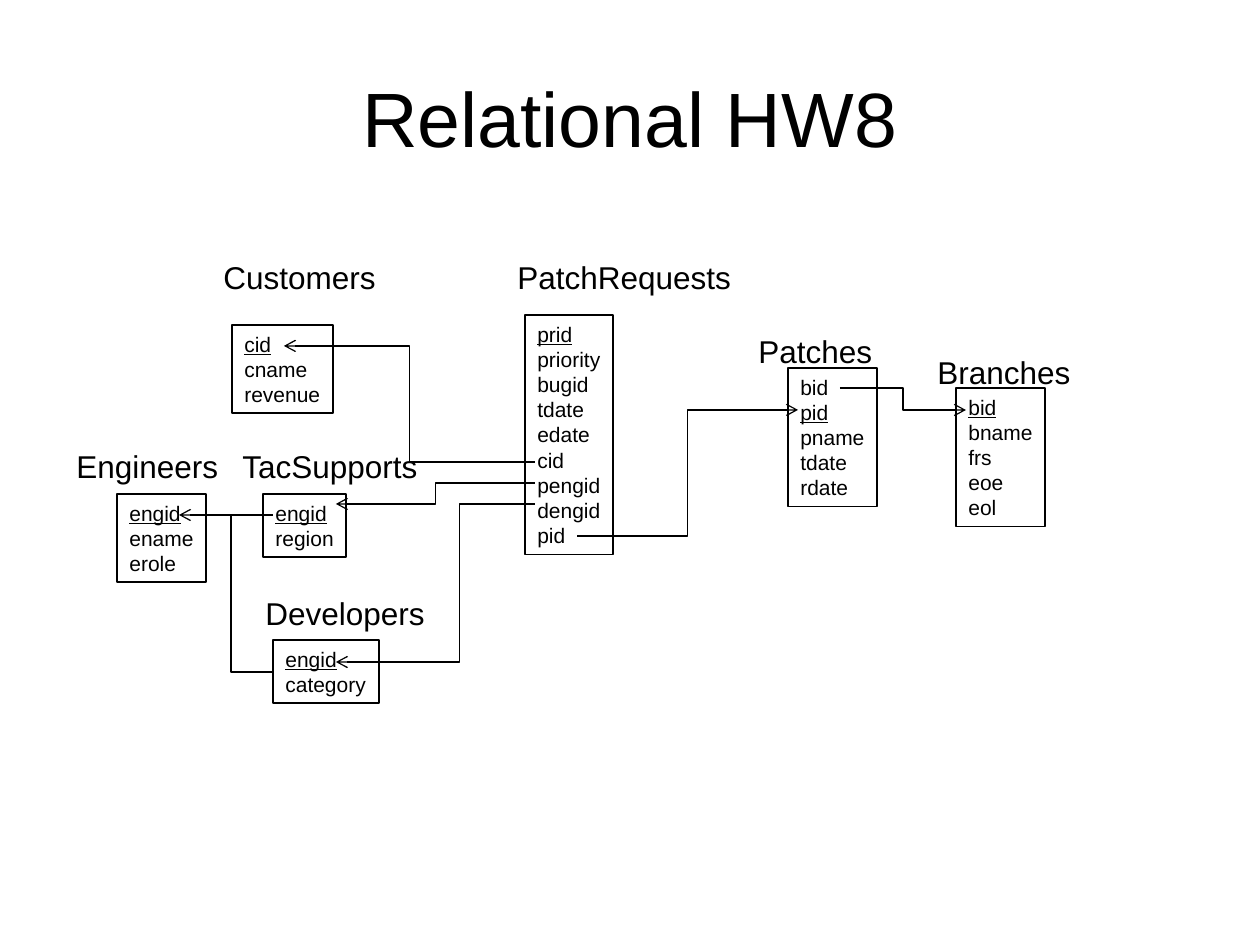
import pptx
import pptx.util
import pptx.dml.color
import pptx.enum.shapes
import pptx.enum.text
import pptx.oxml.ns
from lxml import etree

TITLE = "Relational HW8"
# name, label (left, top, width), box (left, top, width), key, fields
TABLES = [
    ("Customers", (211, 252, 178), (232, 325, 101), "cid",
     ["cid", "cname", "revenue"]),
    ("PatchRequests", (505, 252, 238), (525, 315, 88), "prid",
     ["prid", "priority", "bugid", "tdate", "edate", "cid", "pengid",
      "dengid", "pid"]),
    ("Engineers", (64, 441, 166), (117, 494, 89), "engid",
     ["engid", "ename", "erole"]),
    ("Patches", (746, 326, 139), (788, 368, 89), "pid",
     ["bid", "pid", "pname", "tdate", "rdate"]),
    ("Branches", (925, 347, 158), (956, 388, 89), "bid",
     ["bid", "bname", "frs", "eoe", "eol"]),
    ("Developers", (253, 588, 184), (273, 640, 106), "engid",
     ["engid", "category"]),
    ("TacSupports", (230, 441, 203), (263, 494, 83), "engid",
     ["engid", "region"]),
]
# start, end, place of the bend along the width (1 = one corner, no arrow)
LINKS = [
    ((535, 462), (284, 346), 0.5),
    ((577, 536), (798, 410), 0.5),
    ((840, 388), (966, 410), 0.5),
    ((535, 483), (336, 504), 0.5),
    ((535, 504), (336, 662), 0.38),
    ((273, 515), (179, 515), 0.5),
    ((273, 672), (231, 515), 1),
]
THEME = {"font": "Arial", "ink": pptx.dml.color.RGBColor(0, 0, 0),
         "title": 44, "label": 18, "field": 12, "line": 0.75}
ROW, PAD, LABEL = 25.2, 12.6, 50

Pt = pptx.util.Pt
Kind = pptx.enum.shapes.MSO_CONNECTOR
Text = pptx.enum.text


def px(n):
    return round(n * 914400 / 126)


def style(para, size, align=Text.PP_ALIGN.LEFT):
    para.alignment = align
    font = para.font
    font.name, font.size = THEME["font"], Pt(THEME[size])
    font.color.rgb = THEME["ink"]


def ink(line):
    line.color.rgb = THEME["ink"]
    line.width = Pt(THEME["line"])


def fill(shape, lines, size, key=None):
    """Write the lines into the shape, with the key underlined."""
    frame = shape.text_frame
    frame.word_wrap = True
    frame.auto_size = Text.MSO_AUTO_SIZE.NONE
    frame.vertical_anchor = Text.MSO_ANCHOR.TOP
    frame.margin_right = 0  # spare room, so that no word breaks
    frame.text = "\n".join(lines)
    for para in frame.paragraphs:
        style(para, size)
        if para.text == key:
            para.runs[0].font.underline = True


def table(slide, name, label, box, key, fields):
    left, top, width = box
    shape = slide.shapes.add_shape(
        pptx.enum.shapes.MSO_SHAPE.RECTANGLE, px(left), px(top), px(width),
        px(ROW * len(fields) + PAD))
    shape.shadow.inherit = False
    shape.fill.background()
    ink(shape.line)
    fill(shape, fields, "field", key)
    fill(slide.shapes.add_textbox(*map(px, (*label, LABEL))), [name], "label")


def link(slide, start, end, bend):
    kind = Kind.STRAIGHT if start[1] == end[1] else Kind.ELBOW
    wire = slide.shapes.add_connector(kind, *map(px, (*start, *end)))
    ink(wire.line)
    qn = pptx.oxml.ns.qn
    props = wire._element.spPr
    etree.SubElement(props, qn("a:effectLst"))
    geom = props.find(qn("a:prstGeom"))
    if bend == 1:
        geom.set("prst", "bentConnector2")
        return
    etree.SubElement(props.find(qn("a:ln")), qn("a:tailEnd"), type="arrow")
    if kind == Kind.ELBOW:
        guides = geom.find(qn("a:avLst"))
        etree.SubElement(guides, qn("a:gd"), name="adj1",
                         fmla=f"val {round(bend * 100000)}")


def main():
    deck = pptx.Presentation()
    deck.slide_width, deck.slide_height = px(1260), px(945)
    slide = deck.slides.add_slide(deck.slide_layouts[5])
    title = slide.shapes.title
    title.left, title.top, title.width, title.height = map(
        px, (63, 38, 1134, 157))
    title.text_frame.text = TITLE
    title.text_frame.vertical_anchor = Text.MSO_ANCHOR.MIDDLE
    style(title.text_frame.paragraphs[0], "title", Text.PP_ALIGN.CENTER)
    for row in TABLES:
        table(slide, *row)
    for row in LINKS:
        link(slide, *row)
    deck.save("out.pptx")


if __name__ == "__main__":
    main()
